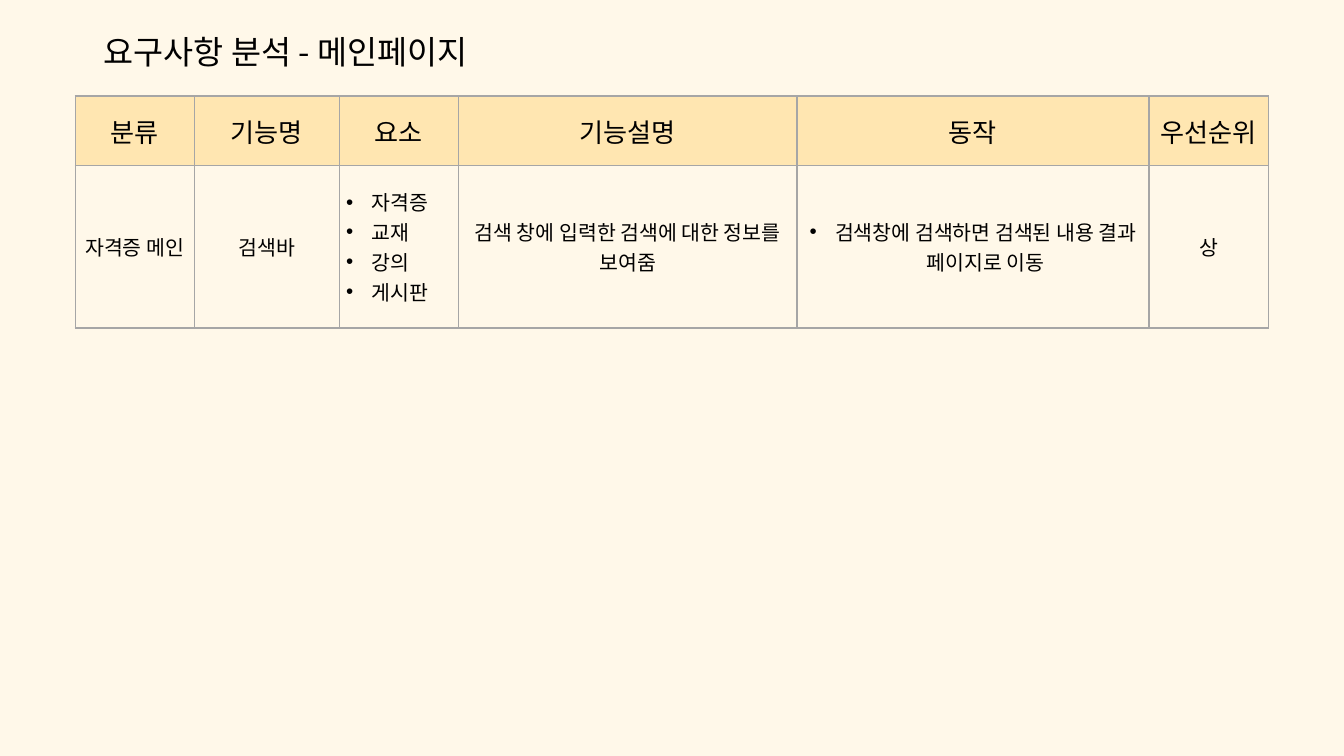
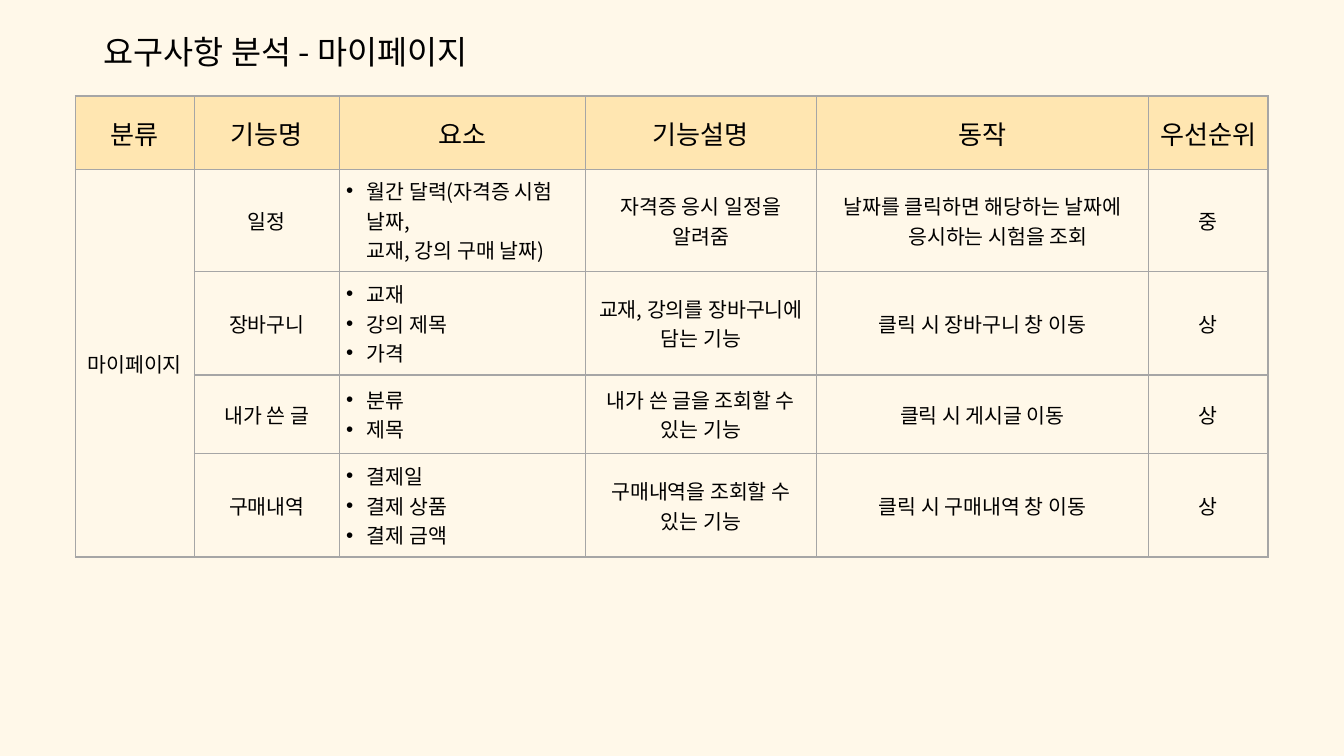
"""Build two requirement analysis slides."""
import pptx
import pptx.dml.color
import pptx.enum.text
import pptx.oxml
import pptx.oxml.ns
import pptx.util

Inches, Pt = pptx.util.Inches, pptx.util.Pt
ALIGN = pptx.enum.text.PP_ALIGN
ANCHOR = pptx.enum.text.MSO_ANCHOR
FIT = pptx.enum.text.MSO_AUTO_SIZE

HEX = {"page": "FFF8E9", "head": "FFE6B1", "rule": "A6A6A6", "text": "000000"}
FACE = "Noto Sans CJK KR"
SIZES = {"title": 35, "head": 28, "body": 22}
FRAME = {"margin_left": 0, "margin_top": 0, "margin_right": 0,
         "margin_bottom": 0, "word_wrap": True,
         "vertical_anchor": ANCHOR.TOP, "auto_size": FIT.SHAPE_TO_FIT_TEXT}
PLAIN = {"first_row": False, "horz_banding": False}
HEADS = ["분류", "기능명", "요소", "기능설명", "동작", "우선순위"]
DOT, PUSH = "• ", "> "
ITEMS = HEADS.index("요소")

SLIDES = [
    {
        "title": "요구사항 분석 - 메인페이지",
        "cols": [1.77, 2.16, 1.77, 5.04, 5.24, 1.78],
        "rows": [1.03, 2.42],
        "indent": 0.38,
        "body": [
            ["자격증 메인", "검색바", "• 자격증\n• 교재\n• 강의\n• 게시판",
             "검색 창에 입력한 검색에 대한 정보를 보여줌",
             "• 검색창에 검색하면 검색된 내용 결과 페이지로 이동", "상"],
        ],
    },
    {
        "title": "요구사항 분석 - 마이페이지",
        "cols": [1.77, 2.16, 3.66, 3.44, 4.94, 1.78],
        "rows": [1.09, 1.52, 1.54, 1.17, 1.54],
        "indent": 0.31,
        "body": [
            ["마이페이지", "일정",
             "• 월간 달력(자격증 시험 날짜,\v교재, 강의 구매 날짜)",
             "자격증 응시 일정을\n알려줌",
             "날짜를 클릭하면 해당하는 날짜에\n> 응시하는 시험을 조회", "중"],
            ["", "장바구니", "• 교재\n• 강의 제목\n• 가격",
             "교재, 강의를 장바구니에 담는 기능",
             "클릭 시 장바구니 창 이동", "상"],
            ["", "내가 쓴 글", "• 분류\n• 제목",
             "내가 쓴 글을 조회할 수\n있는 기능",
             "클릭 시 게시글 이동", "상"],
            ["", "구매내역", "• 결제일\n• 결제 상품\n• 결제 금액",
             "구매내역을 조회할 수\n있는 기능",
             "클릭 시 구매내역 창 이동", "상"],
        ],
    },
]


def color(name):
    """Return the named colour."""
    return pptx.dml.color.RGBColor.from_string(HEX[name])


def apply(item, values):
    """Set each format value on the item."""
    for name, value in values.items():
        setattr(item, name, value)


def add_xml(parent, tag, **attrs):
    """Append a drawing element with attributes."""
    node = pptx.oxml.parse_xml(f"<a:{tag} {pptx.oxml.ns.nsdecls('a')}/>")
    for name, value in attrs.items():
        node.set(name, str(value))
    parent.append(node)
    return node


def style(para, kind):
    """Give every run of a paragraph its font."""
    for run in para.runs:
        apply(run.font, {"name": FACE, "size": Pt(SIZES[kind]), "bold": False})
        run.font.color.rgb = color("text")
        add_xml(run.font._element, "ea", typeface=FACE)


def write(para, text, kind, align, indent):
    """Write one table paragraph, bulleted or pushed by its mark."""
    para.alignment = align
    props = para._p.get_or_add_pPr()
    if text.startswith(DOT):
        props.set("marL", str(Inches(indent)))
        props.set("indent", str(-Inches(indent)))
        add_xml(props, "buFont", typeface="Arial")
        add_xml(props, "buChar", char=DOT.strip())
    elif text.startswith(PUSH):
        props.set("marL", str(Inches(0.46)))
    para.text = text.removeprefix(DOT).removeprefix(PUSH)
    style(para, kind)


def border(cell):
    """Draw the four rules of a cell."""
    props = cell._tc.get_or_add_tcPr()
    for spot, side in enumerate("LRTB"):
        line = add_xml(props, f"ln{side}", w=Pt(1.5))
        add_xml(add_xml(line, "solidFill"), "srgbClr", val=HEX["rule"])
        props.insert(spot, line)


def fill_cell(cell, text, kind, align, indent):
    """Fill, rule and write one cell."""
    cell.vertical_anchor = ANCHOR.MIDDLE
    if kind == "head":
        cell.fill.solid()
        cell.fill.fore_color.rgb = color("head")
    else:
        cell.fill.background()
    border(cell)
    frame = cell.text_frame
    for spot, part in enumerate(text.split("\n")):
        para = frame.add_paragraph() if spot else frame.paragraphs[0]
        write(para, part, kind, align, indent)


def add_title(slide, text, box):
    """Place the slide title in its box."""
    title = slide.shapes.title
    apply(title, dict(zip(("left", "top", "width", "height"), map(Inches, box))))
    apply(title.text_frame, FRAME)
    para = title.text_frame.paragraphs[0]
    para.text = text
    apply(para, {"alignment": ALIGN.CENTER, "line_spacing": Pt(49)})
    style(para, "title")


def add_grid(slide, data, left, top):
    """Place the requirement table from its top left corner."""
    cols, rows = data["cols"], data["rows"]
    box = map(Inches, (left, top, sum(cols), sum(rows)))
    grid = slide.shapes.add_table(len(rows), len(cols), *box).table
    apply(grid, PLAIN)
    for col, width in zip(grid.columns, cols):
        col.width = Inches(width)
    for row, height in zip(grid.rows, rows):
        row.height = Inches(height)
    for y, texts in enumerate([HEADS, *data["body"]]):
        kind = "body" if y else "head"
        for x, text in enumerate(texts):
            align = ALIGN.LEFT if y and x == ITEMS else ALIGN.CENTER
            fill_cell(grid.cell(y, x), text, kind, align, data["indent"])
    if len(rows) > 2:
        grid.cell(1, 0).merge(grid.cell(len(rows) - 1, 0))


def main():
    """Build and save the slides."""
    deck = pptx.Presentation()
    apply(deck, {"slide_width": Inches(20), "slide_height": Inches(11.25)})
    back = deck.slide_master.background.fill
    back.solid()
    back.fore_color.rgb = color("page")
    for data in SLIDES:
        slide = deck.slides.add_slide(deck.slide_layouts.get_by_name("Title Only"))
        add_grid(slide, data, 1.12, 1.43)
        add_title(slide, data["title"], (1.26, 0.38, 5.99, 0.65))
    deck.save("out.pptx")


if __name__ == "__main__":
    main()
